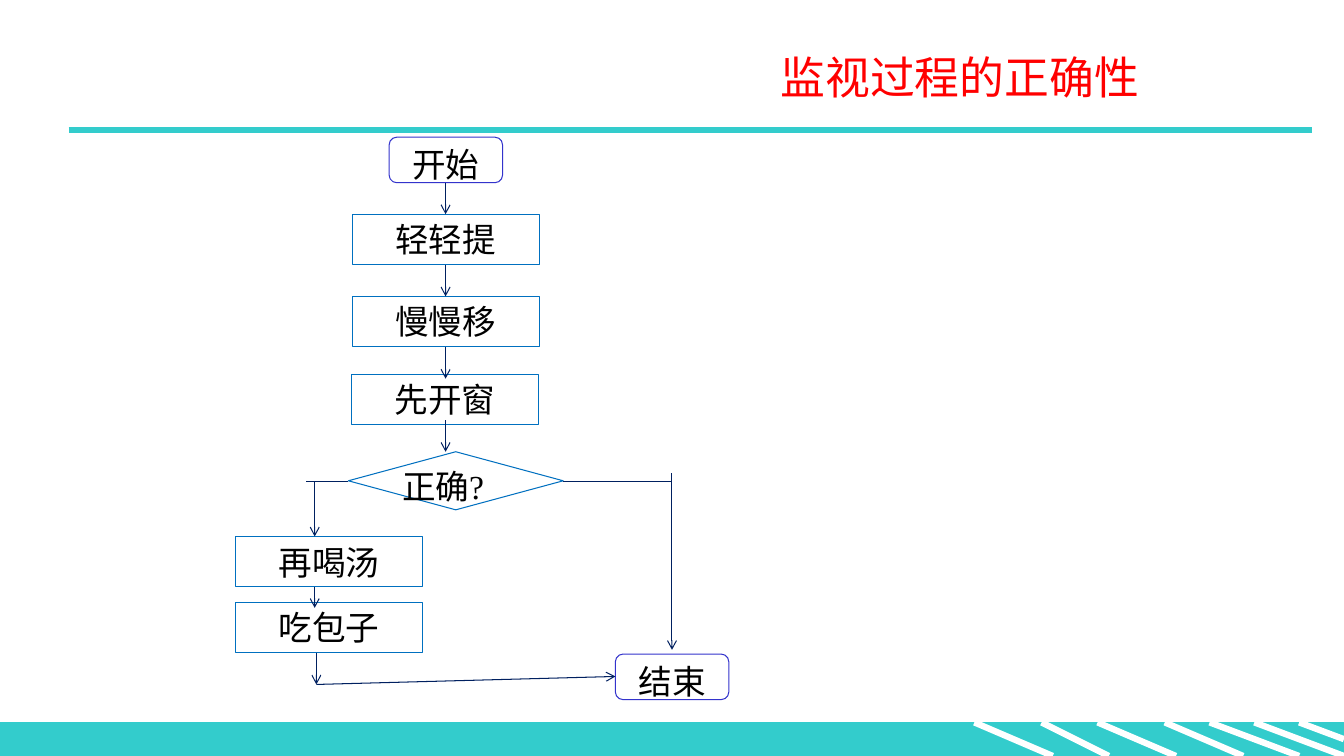
"""Build a flowchart slide about checking that a process runs correctly."""
from lxml.etree import SubElement
from pptx import Presentation
from pptx.dml.color import RGBColor
from pptx.enum.shapes import MSO_CONNECTOR, MSO_SHAPE
from pptx.enum.text import MSO_ANCHOR, PP_ALIGN
from pptx.oxml.ns import qn
from pptx.util import Pt

COLORS = {
    "teal": "33CCCC", "white": "FFFFFF", "red": "FF0000", "black": "000000",
    "terminal": "3333CC", "step": "0070C0", "arrow": "002060",
}
FONT = "Times New Roman"


def rgb(name):
    return RGBColor.from_string(COLORS[name])


def put_text(shape, text, size=24, color="black", align=PP_ALIGN.CENTER,
             anchor=MSO_ANCHOR.MIDDLE, insets=(7.2, 3.6, 7.2, 3.6)):
    tf = shape.text_frame
    tf.word_wrap = True
    tf.vertical_anchor = anchor
    tf.margin_left, tf.margin_top, tf.margin_right, tf.margin_bottom = map(Pt, insets)
    p = tf.paragraphs[0]
    p.alignment = align
    p.space_before = Pt(0)
    r = p.add_run()
    r.text = text
    r.font.name = FONT
    r.font.size = Pt(size)
    r.font.bold = False
    r.font.color.rgb = rgb(color)


class Slide:
    def __init__(self, prs):
        self.s = prs.slides.add_slide(prs.slide_layouts[5])

    def title(self, text, left, top, width, height):
        sp = self.s.shapes.title
        sp.left, sp.top, sp.width, sp.height = map(Pt, (left, top, width, height))
        put_text(sp, text, size=32, color="red", align=PP_ALIGN.RIGHT,
                 anchor=MSO_ANCHOR.TOP, insets=(7.2, 3.6, 15.2, 3.6))

    def shape(self, kind, left, top, width, height, line, fill=None):
        sp = self.s.shapes.add_shape(kind, *map(Pt, (left, top, width, height)))
        sp.shadow.inherit = False
        if fill:
            sp.fill.solid()
            sp.fill.fore_color.rgb = rgb(fill)
        else:
            sp.fill.background()
        sp.line.color.rgb = rgb(line)
        sp.line.width = Pt(0.75)
        return sp

    def terminal(self, text, left, top):
        sp = self.shape(MSO_SHAPE.ROUNDED_RECTANGLE, left, top, 81, 32.5, "terminal")
        put_text(sp, text, anchor=MSO_ANCHOR.TOP)

    def step(self, text, left, top):
        sp = self.shape(MSO_SHAPE.RECTANGLE, left, top, 133.5, 36, "step")
        put_text(sp, text)

    def decision(self, text, left, top):
        sp = self.shape(MSO_SHAPE.DIAMOND, left, top, 153.5, 41.5, "step")
        put_text(sp, text, align=PP_ALIGN.LEFT, anchor=MSO_ANCHOR.TOP,
                 insets=(0, 0, 7.2, 3.6))

    def line(self, x1, y1, x2, y2, color="arrow", width=0.75, arrow=False):
        c = self.s.shapes.add_connector(MSO_CONNECTOR.STRAIGHT, *map(Pt, (x1, y1, x2, y2)))
        c.line.color.rgb = rgb(color)
        c.line.width = Pt(width)
        if arrow:
            SubElement(c.line._get_or_add_ln(), qn("a:tailEnd"), type="arrow")
        SubElement(c._element.spPr, qn("a:effectLst"))


def main():
    prs = Presentation()
    prs.slide_width, prs.slide_height = Pt(960), Pt(540)
    slide = Slide(prs)

    slide.shape(MSO_SHAPE.RECTANGLE, 0, 516, 960, 24, "teal", fill="teal")
    for x1, x2, y2 in [(696, 752, 540), (744, 792, 540), (784, 840, 540), (832, 888, 540),
                       (864, 928, 540), (896, 960, 540), (928, 960, 528)]:
        slide.line(x1, 516, x2, y2, color="white", width=4.5)
    slide.line(49, 92.7, 937.5, 92.7, color="teal", width=4.5)
    slide.title("监视过程的正确性", 312, 31.7, 517, 46)

    slide.terminal("开始", 278, 98)
    for text, left, top in [("轻轻提", 251.7, 153), ("慢慢移", 251.7, 211.7),
                            ("先开窗", 251, 267.2), ("再喝汤", 168.2, 383.2),
                            ("吃包子", 168.2, 430.2)]:
        slide.step(text, left, top)
    slide.terminal("结束", 439.6, 467.2)
    slide.decision("正确?", 248.8, 322.7)

    for top in (130.5, 189.2, 248, 300.2):
        slide.line(318.3, top, 318.3, top + 22.5, arrow=True)
    slide.line(218.9, 343.6, 248.8, 343.6)
    slide.line(402, 343.6, 480, 343.6)
    for ends in [(224.8, 343.6, 224.8, 383.2), (480, 337.9, 480, 464.2),
                 (224.8, 419.2, 224.8, 434.2), (226, 466.4, 226, 488.9),
                 (226, 488.9, 439.6, 483.2)]:
        slide.line(*ends, arrow=True)
    prs.save("out.pptx")


if __name__ == "__main__":
    main()
